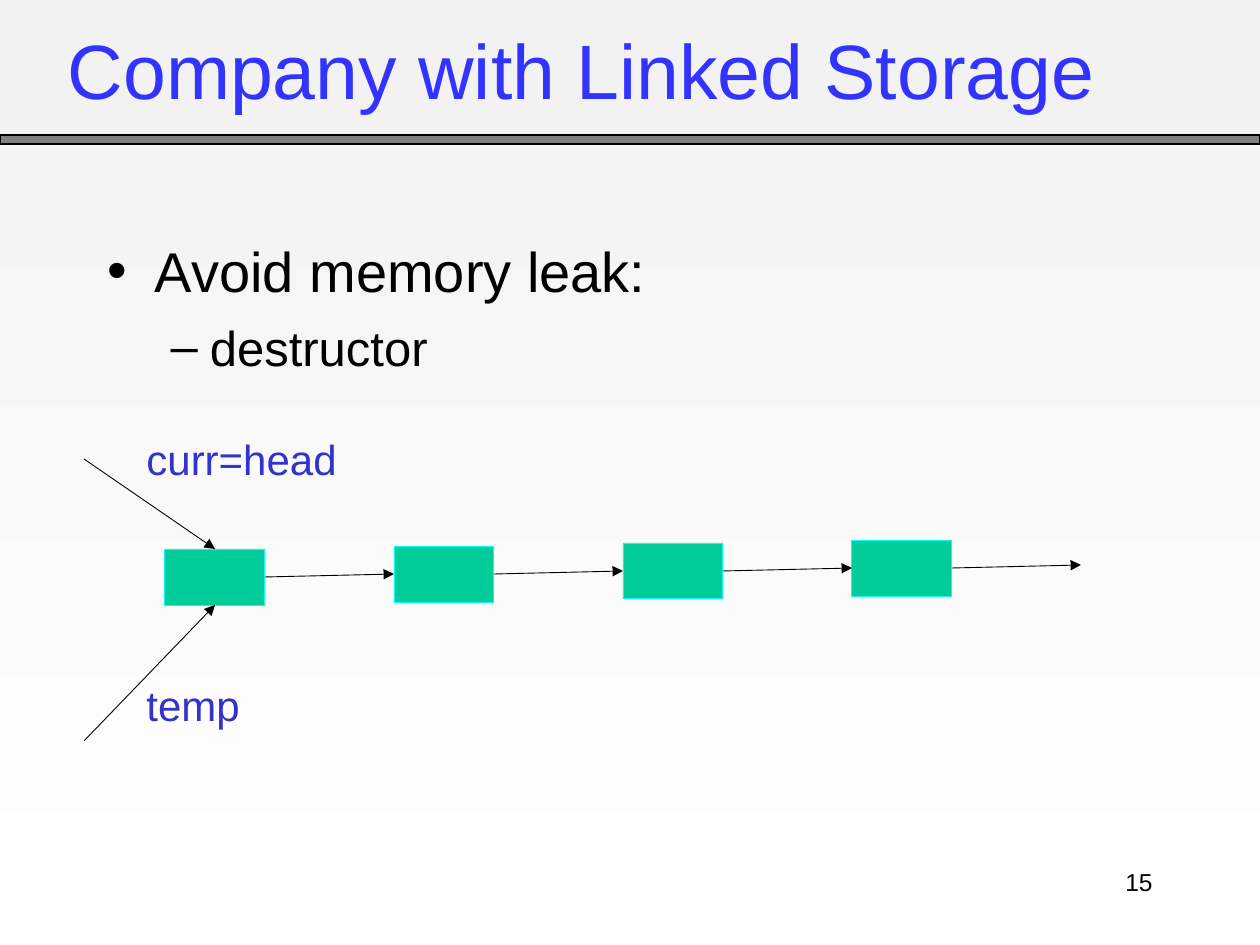
import dataclasses

import pptx
import pptx.dml.color
import pptx.enum.shapes
import pptx.enum.text
import pptx.oxml
import pptx.oxml.ns
import pptx.util

SCALE = 914400 / 126  # EMU in one px
WIDE, HIGH = 1260, 945
TOP, LEFT, BOTTOM, RIGHT = range(4)
ALIGN = pptx.enum.text.PP_ALIGN
RECT = pptx.enum.shapes.MSO_SHAPE.RECTANGLE
STRAIGHT = pptx.enum.shapes.MSO_CONNECTOR.STRAIGHT


@dataclasses.dataclass(frozen=True)
class Theme:
    font: str = "Arial"
    sky: str = "F2F2F2"
    ground: str = "FFFFFF"
    bar: str = "808080"
    ink: str = "000000"
    title: str = "3333FF"
    label: str = "3333CC"
    node: str = "00CC99"
    edge: str = "00FFFF"
    title_size: int = 44
    point_size: int = 32
    sub_size: int = 28
    label_size: int = 24
    page_size: int = 14
    thin: float = 0.5
    thick: float = 0.75


THEME = Theme()


def px(*sizes):
    return [round(size * SCALE) for size in sizes]


def rgb(code):
    return pptx.dml.color.RGBColor.from_string(code)


def move(shape, box):
    shape.left, shape.top, shape.width, shape.height = px(*box)


def write(para, text, size, color=THEME.ink, align=ALIGN.LEFT, level=0, before=0):
    para.text = text
    para.level = level
    para.alignment = align
    para.space_before = pptx.util.Pt(before)
    para.font.name = THEME.font
    para.font.size = pptx.util.Pt(size)
    para.font.color.rgb = rgb(color)


def add_label(slide, text, box, **form):
    frame = slide.shapes.add_textbox(*px(*box)).text_frame
    frame.word_wrap = True
    write(frame.paragraphs[0], text, **form)


def add_block(slide, box, fill, edge, width):
    block = slide.shapes.add_shape(RECT, *px(*box))
    block.shadow.inherit = False
    block.fill.solid()
    block.fill.fore_color.rgb = rgb(fill)
    block.line.color.rgb = rgb(edge)
    block.line.width = pptx.util.Pt(width)
    return block


def add_arrow(slide, start, end, source=None, target=None):
    """Draw an arrow; source and target are optional (shape, side) pairs."""
    arrow = slide.shapes.add_connector(STRAIGHT, *px(*start, *end))
    if source:
        arrow.begin_connect(*source)
    if target:
        arrow.end_connect(*target)
    arrow.line.color.rgb = rgb(THEME.ink)
    arrow.line.width = pptx.util.Pt(THEME.thin)
    qn = pptx.oxml.ns.qn
    head = arrow.line._get_or_add_ln().makeelement(qn("a:tailEnd"), {"type": "triangle"})
    arrow.line._get_or_add_ln().append(head)
    props = arrow._element.spPr
    props.append(props.makeelement(qn("a:effectLst"), {}))


def paint_back(slide):
    fill = slide.background.fill
    fill.gradient()
    fill.gradient_angle = 270
    for stop, color in zip(fill.gradient_stops, (THEME.sky, THEME.ground)):
        stop.color.rgb = rgb(color)


def add_header(slide, box):
    left, top, width, height = box
    bar = 9
    add_block(slide, (left, top + height - bar, width, bar),
              THEME.bar, THEME.ink, THEME.thick)
    title = slide.shapes.title
    move(title, (left + 55, top + 13, 1071, 112))
    title.text_frame.auto_size = pptx.enum.text.MSO_AUTO_SIZE.NONE
    write(title.text_frame.paragraphs[0], "Company with Linked Storage",
          size=THEME.title_size, color=THEME.title)


def add_points(slide, box):
    body = slide.placeholders[1]
    move(body, box)
    frame = body.text_frame
    frame.auto_size = pptx.enum.text.MSO_AUTO_SIZE.NONE
    write(frame.paragraphs[0], "Avoid memory leak:", size=THEME.point_size)
    write(frame.add_paragraph(), "destructor", size=THEME.sub_size, level=1, before=8)


def add_chain(slide, box):
    """Draw the linked nodes, each a little higher, and the two pointers."""
    left, top, width, height = box
    count, step, rise = 4, 229, 3
    wide, high = 100, 56
    first_x, first_y = left + 81, top + 90
    nodes = [
        add_block(slide, (first_x + i * step, first_y - i * rise, wide, high),
                  THEME.node, THEME.edge, THEME.thin)
        for i in range(count)
    ]
    for i, node in enumerate(nodes):
        start = (first_x + i * step + wide, first_y - i * rise + high // 2)
        end = (start[0] + step - wide, start[1] - rise)
        target = (nodes[i + 1], LEFT) if i + 1 < count else None
        add_arrow(slide, start, end, (node, RIGHT), target)

    middle = first_x + wide // 2
    pointers = (
        ("curr=head", top, first_y, TOP, top - 32),
        ("temp", top + height, first_y + high, BOTTOM, top + 214),
    )
    for text, start_y, end_y, side, label_y in pointers:
        add_arrow(slide, (left, start_y), (middle, end_y), target=(nodes[0], side))
        add_label(slide, text, (left + 50, label_y, 261, 63),
                  size=THEME.label_size, color=THEME.label)


def main():
    deck = pptx.Presentation()
    deck.slide_width, deck.slide_height = px(WIDE, HIGH)
    slide = deck.slides.add_slide(deck.slide_layouts[1])
    paint_back(slide)
    add_header(slide, (0, 0, WIDE, 144))
    add_points(slide, (95, 230, 1071, 155))
    add_chain(slide, (84, 459, 998, 282))
    add_label(slide, "15", (903, 861, 262, 63),
              size=THEME.page_size, align=ALIGN.RIGHT)
    deck.save("out.pptx")


if __name__ == "__main__":
    main()
